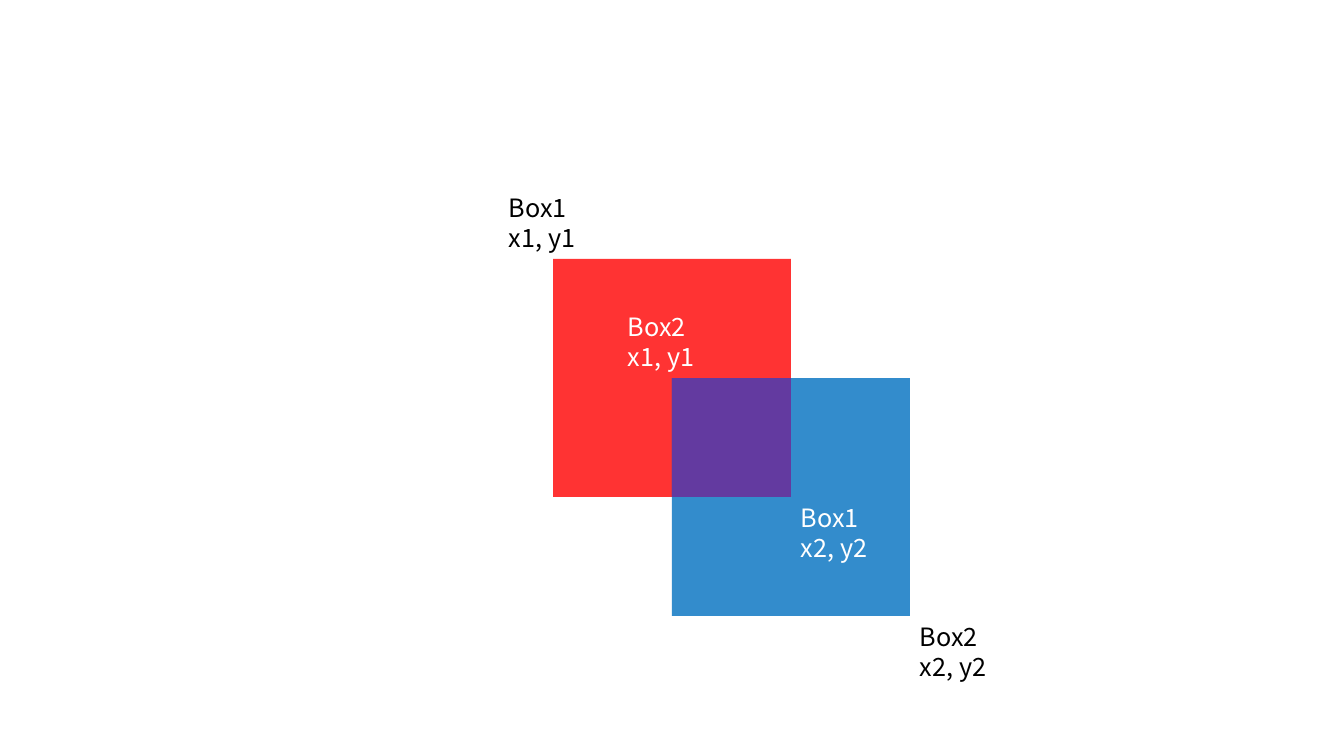
from dataclasses import dataclass

from lxml.etree import SubElement
from pptx import Presentation
from pptx.dml.color import RGBColor
from pptx.enum.shapes import MSO_SHAPE
from pptx.enum.text import MSO_AUTO_SIZE
from pptx.oxml.ns import qn
from pptx.slide import Slide
from pptx.util import Emu, Pt

EMU_PER_PX = 914400 / 100.8
SLIDE_WIDTH, SLIDE_HEIGHT = 1344, 756
BOX_SIDE = 238
OVERLAP_SIDE = BOX_SIDE // 2
LABEL_WIDTH, LABEL_HEIGHT = 109, 72
FONT_NAME = "Noto Sans CJK SC"
OPACITY_PERCENT = 80

RED = RGBColor(0xFF, 0x00, 0x00)
BLUE = RGBColor(0x00, 0x70, 0xC0)
PURPLE = RGBColor(0x70, 0x30, 0xA0)
BLACK = RGBColor(0x00, 0x00, 0x00)
WHITE = RGBColor(0xFF, 0xFF, 0xFF)


@dataclass(frozen=True)
class Square:
    left: int
    top: int
    side: int
    color: RGBColor

    @property
    def right(self) -> int:
        return self.left + self.side

    @property
    def bottom(self) -> int:
        return self.top + self.side


@dataclass(frozen=True)
class CornerLabel:
    left: int
    top: int
    name: str
    corner: str
    color: RGBColor


BOX1 = Square(553, 259, BOX_SIDE, RED)
BOX2 = Square(BOX1.left + OVERLAP_SIDE, BOX1.top + OVERLAP_SIDE, BOX_SIDE, BLUE)
OVERLAP = Square(BOX2.left, BOX2.top, OVERLAP_SIDE, PURPLE)
SQUARES = (BOX1, BOX2, OVERLAP)


def start_label(box: Square, name: str, color: RGBColor) -> CornerLabel:
    left = box.left - LABEL_WIDTH // 2
    return CornerLabel(left, box.top - LABEL_HEIGHT, name, "x1, y1", color)


def end_label(box: Square, name: str, color: RGBColor) -> CornerLabel:
    return CornerLabel(box.right, box.bottom, name, "x2, y2", color)


LABELS = (
    start_label(BOX1, "Box1", BLACK),
    end_label(BOX1, "Box1", WHITE),
    end_label(BOX2, "Box2", BLACK),
    start_label(BOX2, "Box2", WHITE),
)


def px(length: int) -> Emu:
    return Emu(round(length * EMU_PER_PX))


def draw_square(slide: Slide, square: Square) -> None:
    shape = slide.shapes.add_shape(
        MSO_SHAPE.RECTANGLE,
        px(square.left), px(square.top), px(square.side), px(square.side),
    )
    shape.shadow.inherit = False
    shape.line.fill.background()
    shape.fill.solid()
    shape.fill.fore_color.rgb = square.color
    color_element = shape._element.spPr.find(qn("a:solidFill"))[0]
    SubElement(color_element, qn("a:alpha"), val=str(OPACITY_PERCENT * 1000))


def draw_label(slide: Slide, label: CornerLabel) -> None:
    shape = slide.shapes.add_textbox(
        px(label.left), px(label.top), px(LABEL_WIDTH), px(LABEL_HEIGHT)
    )
    frame = shape.text_frame
    frame.word_wrap = True
    frame.auto_size = MSO_AUTO_SIZE.SHAPE_TO_FIT_TEXT
    frame.text = f"{label.name}\n{label.corner}"
    for paragraph in frame.paragraphs:
        paragraph.font.name = FONT_NAME
        paragraph.font.size = Pt(18)
        paragraph.font.color.rgb = label.color


def main() -> None:
    presentation = Presentation()
    presentation.slide_width = px(SLIDE_WIDTH)
    presentation.slide_height = px(SLIDE_HEIGHT)
    slide = presentation.slides.add_slide(presentation.slide_layouts[6])
    for square in SQUARES:
        draw_square(slide, square)
    for label in LABELS:
        draw_label(slide, label)
    presentation.save("out.pptx")


if __name__ == "__main__":
    main()
